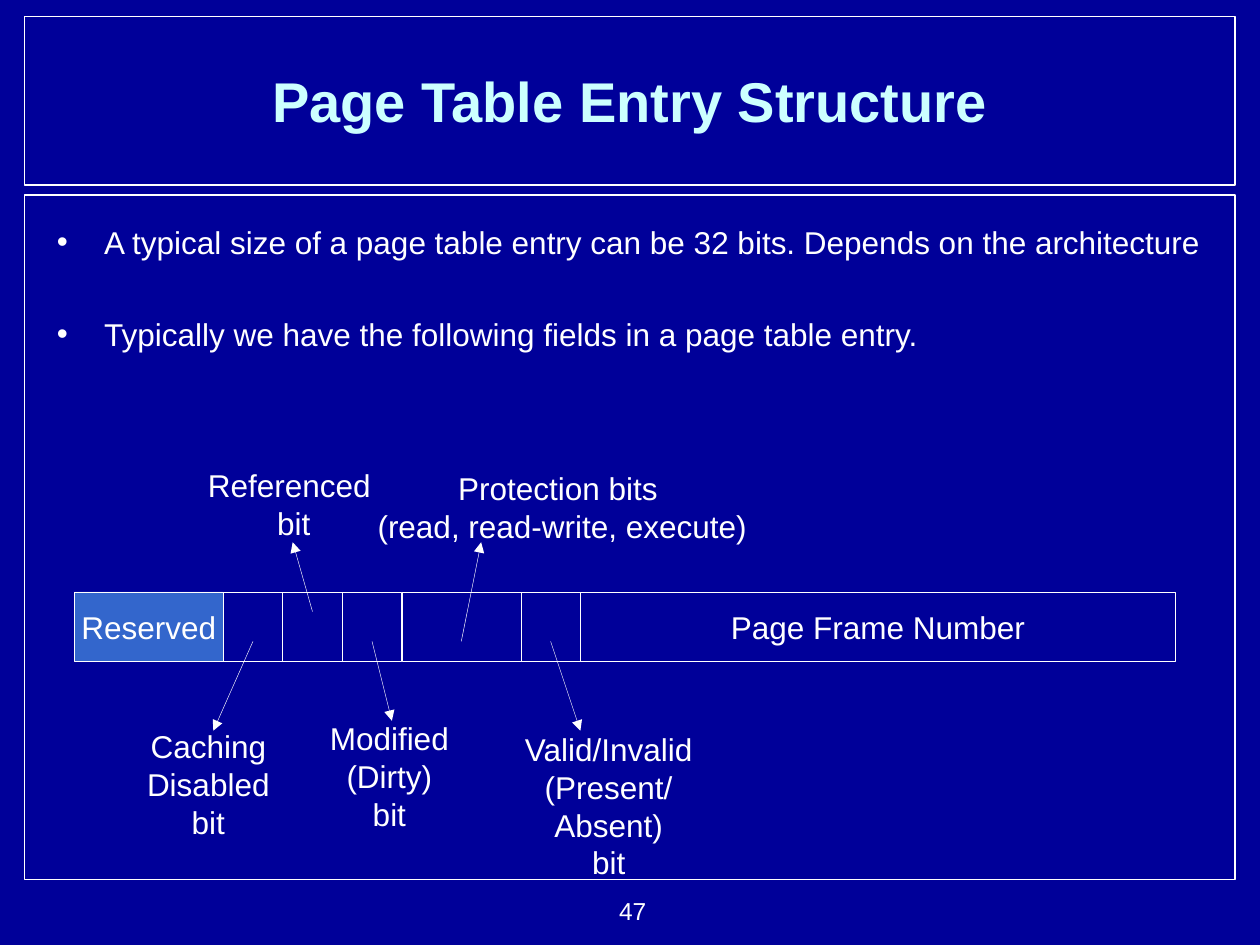
from lxml import etree
from pptx import Presentation
from pptx.dml.color import RGBColor
from pptx.enum import shapes, text
from pptx.oxml.ns import qn
from pptx.util import Cm, Pt

COLORS = {"background": "000099", "white": "FFFFFF", "title": "CCFFFF", "reserved": "3366CC"}

TITLE = "Page Table Entry Structure"
BULLETS = [
    "A typical size of a page table entry can be 32 bits. Depends on the architecture",
    "Typically we have the following fields in a page table entry.",
]
PAGE_NUMBER = "47"

# Lengths below are in centimetres.
FRAMES = [(0.5, 0.33, 24.4, 3.4), (0.5, 3.93, 24.4, 13.8)]
UNIT = 1.2
ENTRY_LEFT, ENTRY_TOP, ENTRY_HEIGHT = 1.5, 11.93, 1.4

# Each field: width in units, text inside, fill, callout.
# Callout: lines, box (left, top, width, height), arrow start y, arrow tip (x, y).
FIELDS = [
    (2.5, "Reserved", "reserved", None),
    (1, "", None, (["Caching ", "Disabled", "bit"], (2.7, 14.53, 3, 2.55), 12.93, (4.3, 14.73))),
    (1, "", None, (["Referenced ", "bit"], (3.94, 9.28, 3.96, 1.78), 12.33, (5.9, 10.93))),
    (1, "", None, (["Modified", "(Dirty)", "bit"], (6.4, 14.38, 2.9, 2.55), 12.93, (7.9, 14.53))),
    (2, "", None, (["Protection bits ", "(read, read-write, execute)"],
                   (7.36, 9.33, 7.95, 1.78), 12.93, (9.7, 10.93))),
    (1, "", None, (["Valid/Invalid", "(Present/Absent)", "bit"],
                   (9.64, 14.59, 5.26, 2.55), 12.93, (11.7, 14.73))),
    (10, "Page Frame Number", None, None),
]

BODY_FONT = {"name": "Arial", "size": Pt(18), "bold": False}
TITLE_FONT = {**BODY_FONT, "size": Pt(32), "bold": True}
NUMBER_FONT = {**BODY_FONT, "size": Pt(14)}
CENTER, LEFT, RIGHT = text.PP_ALIGN.CENTER, text.PP_ALIGN.LEFT, text.PP_ALIGN.RIGHT


def rgb(name):
    return RGBColor.from_string(COLORS[name])


def write(shape, lines, font=BODY_FONT, color="white", align=CENTER,
          anchor=text.MSO_ANCHOR.TOP, wrap=False):
    frame = shape.text_frame
    frame.text = "\n".join(lines)
    frame.word_wrap = wrap
    frame.vertical_anchor = anchor
    for paragraph in frame.paragraphs:
        paragraph.alignment = align
        for run in paragraph.runs:
            for key, value in font.items():
                setattr(run.font, key, value)
            run.font.color.rgb = rgb(color)


def add_text(slide, box, lines, **style):
    shape = slide.shapes.add_textbox(*map(Cm, box))
    write(shape, lines, **style)
    return shape


def add_box(slide, box, line_width, fill=None):
    shape = slide.shapes.add_shape(shapes.MSO_SHAPE.RECTANGLE, *map(Cm, box))
    shape.shadow.inherit = False
    if fill:
        shape.fill.solid()
        shape.fill.fore_color.rgb = rgb(fill)
    else:
        shape.fill.background()
    shape.line.color.rgb = rgb("white")
    shape.line.width = Pt(line_width)
    return shape


def add_arrow(slide, start, tip):
    arrow = slide.shapes.add_connector(shapes.MSO_CONNECTOR.STRAIGHT, *map(Cm, start + tip))
    arrow.line.color.rgb = rgb("white")
    arrow.line.width = Pt(0.25)
    etree.SubElement(arrow.line._get_or_add_ln(), qn("a:tailEnd"), type="triangle")
    etree.SubElement(arrow._element.spPr, qn("a:effectLst"))


def add_bullets(slide):
    body = add_text(slide, (0.9, 4.37, 23.6, 12.9), BULLETS, align=LEFT, wrap=True)
    for index, paragraph in enumerate(body.text_frame.paragraphs):
        if index:
            paragraph.space_before = Pt(31)
        properties = paragraph._p.get_or_add_pPr()
        properties.set("marL", str(Cm(0.95)))
        properties.set("indent", str(-Cm(0.95)))
        etree.SubElement(properties, qn("a:buFont"), typeface="Arial")
        etree.SubElement(properties, qn("a:buChar"), char="•")


def add_entry(slide):
    """Draw the fields side by side, each with its callout."""
    left = ENTRY_LEFT
    for units, name, fill, callout in FIELDS:
        width = units * UNIT
        field = add_box(slide, (left, ENTRY_TOP, width, ENTRY_HEIGHT), 0.25, fill)
        if name:
            write(field, [name], anchor=text.MSO_ANCHOR.MIDDLE)
        if callout:
            lines, box, start_y, tip = callout
            add_arrow(slide, (left + width / 2, start_y), tip)
            add_text(slide, box, lines)
        left += width


def main():
    deck = Presentation()
    deck.slide_width, deck.slide_height = Cm(25.4), Cm(19.05)
    slide = deck.slides.add_slide(deck.slide_layouts[6])
    slide.background.fill.solid()
    slide.background.fill.fore_color.rgb = rgb("background")

    for frame in FRAMES:
        add_box(slide, frame, 0.75)
    add_text(slide, (10.64, 17.93, 2.64, 0.86), [PAGE_NUMBER],
             font=NUMBER_FONT, align=RIGHT, wrap=True)
    add_text(slide, (0.9, 0.43, 23.6, 3.18), [TITLE], font=TITLE_FONT, color="title",
             anchor=text.MSO_ANCHOR.MIDDLE, wrap=True)
    add_bullets(slide)
    add_entry(slide)
    deck.save("out.pptx")


if __name__ == "__main__":
    main()
